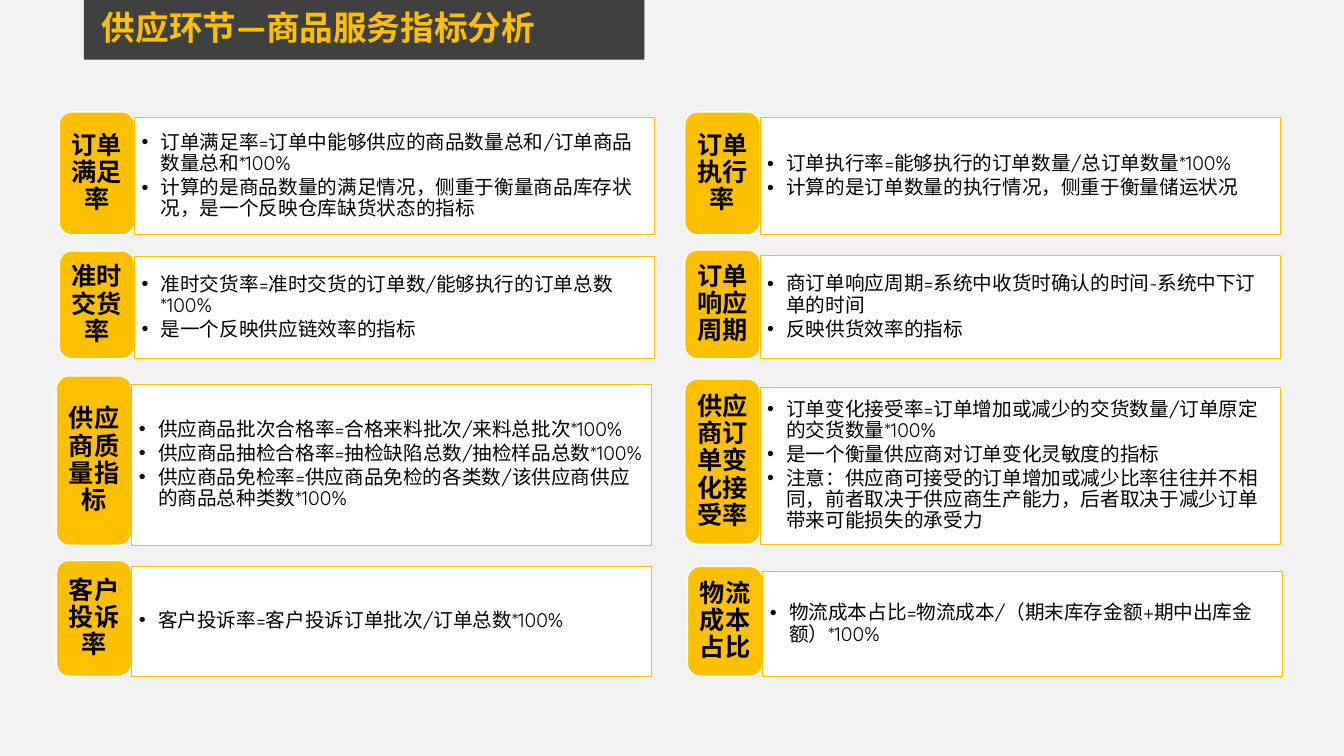
from dataclasses import dataclass
from typing import Any

from lxml import etree
from pptx import Presentation
from pptx.dml.color import RGBColor
from pptx.enum.lang import MSO_LANGUAGE_ID
from pptx.enum.shapes import MSO_SHAPE
from pptx.enum.text import MSO_ANCHOR, PP_ALIGN
from pptx.oxml.ns import qn
from pptx.util import Inches, Pt

RECT, ROUND = MSO_SHAPE.RECTANGLE, MSO_SHAPE.ROUNDED_RECTANGLE
LEFT, CENTER = PP_ALIGN.LEFT, PP_ALIGN.CENTER
TOP, MIDDLE = MSO_ANCHOR.TOP, MSO_ANCHOR.MIDDLE
CHINESE = MSO_LANGUAGE_ID.SIMPLIFIED_CHINESE

SLIDE_W, SLIDE_H = Inches(13.33), Inches(7.5)
GRID = 100  # the slide is a grid of 100 columns by 100 rows


@dataclass(frozen=True)
class Theme:
    page: str = "F2F2F2"
    banner: str = "404040"
    accent: str = "FFC000"
    paper: str = "FFFFFF"
    ink: str = "000000"
    font: str = "Quicksand"
    title_size: float = 24
    label_size: float = 18
    body_size: float = 14
    tab_line: float = 1
    panel_line: float = 0.75


@dataclass(frozen=True)
class Box:
    """A place on the grid: x and w in columns, y and h in rows."""
    x: float
    y: float
    w: float
    h: float


@dataclass(frozen=True)
class TextStyle:
    size: float
    color: str
    bold: bool
    align: Any
    anchor: Any
    inset: tuple[float, float]  # columns, rows
    after: float = 0
    bullet: bool = False


@dataclass(frozen=True)
class Card:
    x: float
    y: float
    h: float
    label: str
    points: tuple[str, ...]


THEME = Theme()
TITLE = TextStyle(THEME.title_size, THEME.accent, True, LEFT, TOP, (0.75, 0.67))
LABEL = TextStyle(THEME.label_size, THEME.ink, True, CENTER, MIDDLE, (0.53, 0.93), 6)
BODY = TextStyle(THEME.body_size, THEME.ink, False, LEFT, MIDDLE, (0.53, 0.53), 2, True)

LINE_SPACING = 0.9
BULLET_INDENT = 1.43
TAB_W, PANEL_W = 5.6, 38.7
LABEL_GAP = 0.19
PANEL_DROP = 0.05  # share of the card height

CARDS = (
    Card(4.4, 14.8, 16.27, "订单满足率", (
        "订单满足率=订单中能够供应的商品数量总和/订单商品数量总和*100%",
        "计算的是商品数量的满足情况，侧重于衡量商品库存状况，是一个反映仓库缺货状态的指标")),
    Card(50.95, 14.8, 16.27, "订单执行率", (
        "订单执行率=能够执行的订单数量/总订单数量*100%",
        "计算的是订单数量的执行情况，侧重于衡量储运状况")),
    Card(4.4, 33.2, 14.27, "准时交货率", (
        "准时交货率=准时交货的订单数/能够执行的订单总数*100%",
        "是一个反映供应链效率的指标")),
    Card(50.95, 33.07, 14.4, "订单响应周期", (
        "商订单响应周期=系统中收货时确认的时间-系统中下订单的时间",
        "反映供货效率的指标")),
    Card(4.2, 49.73, 22.4, "供应商质量指标", (
        "供应商品批次合格率=合格来料批次/来料总批次*100%",
        "供应商品抽检合格率=抽检缺陷总数/抽检样品总数*100%",
        "供应商品免检率=供应商品免检的各类数/该供应商供应的商品总种类数*100%")),
    Card(50.95, 50.13, 21.87, "供应商订单变化接受率", (
        "订单变化接受率=订单增加或减少的交货数量/订单原定的交货数量*100%",
        "是一个衡量供应商对订单变化灵敏度的指标",
        "注意：供应商可接受的订单增加或减少比率往往并不相同，"
        "前者取决于供应商生产能力，后者取决于减少订单带来可能损失的承受力")),
    Card(4.2, 74.13, 15.33, "客户投诉率", (
        "客户投诉率=客户投诉订单批次/订单总数*100%",)),
    Card(51.15, 74.93, 14.53, "物流成本占比", (
        "物流成本占比=物流成本/（期末库存金额+期中出库金额）*100%",)),
)


def cols(n: float) -> int:
    return round(SLIDE_W * n / GRID)


def rows(n: float) -> int:
    return round(SLIDE_H * n / GRID)


def place(box: Box) -> tuple[int, int, int, int]:
    return cols(box.x), rows(box.y), cols(box.w), rows(box.h)


def apply(target: Any, formats: dict[str, Any]) -> None:
    for name, value in formats.items():
        setattr(target, name, value)


def add_bullet(p: Any) -> None:
    pPr = p._p.get_or_add_pPr()
    pPr.set("marL", str(cols(BULLET_INDENT)))
    pPr.set("indent", str(-cols(BULLET_INDENT)))
    etree.SubElement(pPr, qn("a:buFont")).set("typeface", "Arial")
    etree.SubElement(pPr, qn("a:buChar")).set("char", "•")


def write(sp: Any, texts: tuple[str, ...], style: TextStyle) -> None:
    tf = sp.text_frame
    dx, dy = cols(style.inset[0]), rows(style.inset[1])
    apply(tf, {"word_wrap": True, "vertical_anchor": style.anchor,
               "margin_left": dx, "margin_right": dx,
               "margin_top": dy, "margin_bottom": dy})
    for i, text in enumerate(texts):
        p = tf.add_paragraph() if i else tf.paragraphs[0]
        apply(p, {"alignment": style.align, "line_spacing": LINE_SPACING,
                  "space_after": Pt(style.after), "level": int(style.bullet)})
        if style.bullet:
            add_bullet(p)
        r = p.add_run()
        r.text = text
        apply(r.font, {"name": THEME.font, "size": Pt(style.size),
                       "bold": style.bold, "language_id": CHINESE})
        r.font.color.rgb = RGBColor.from_string(style.color)
        etree.SubElement(r._r.get_or_add_rPr(), qn("a:ea")).set("typeface", THEME.font)


def add_block(shapes: Any, kind: Any, box: Box, fill: str,
              line: str = "", width: float = 0) -> Any:
    """Add a flat filled shape, outlined only when a line colour is given."""
    sp = shapes.add_shape(kind, *place(box))
    sp.shadow.inherit = False
    sp.fill.solid()
    sp.fill.fore_color.rgb = RGBColor.from_string(fill)
    if line:
        sp.line.color.rgb = RGBColor.from_string(line)
        sp.line.width = Pt(width)
    else:
        sp.line.fill.background()
    return sp


def add_card(shapes: Any, card: Card) -> None:
    group = shapes.add_group_shape().shapes
    drop = card.h * PANEL_DROP
    tab = Box(card.x, card.y, TAB_W, card.h)
    label = Box(card.x + LABEL_GAP, card.y + drop, TAB_W - 2 * LABEL_GAP, card.h - 2 * drop)
    panel = Box(card.x + TAB_W, card.y + drop, PANEL_W, card.h - drop)
    add_block(group, ROUND, tab, THEME.accent, THEME.paper, THEME.tab_line)
    write(group.add_textbox(*place(label)), (card.label,), LABEL)
    sp = add_block(group, RECT, panel, THEME.paper, THEME.accent, THEME.panel_line)
    write(sp, card.points, BODY)


def main() -> None:
    prs = Presentation()
    apply(prs, {"slide_width": SLIDE_W, "slide_height": SLIDE_H})
    s = prs.slides.add_slide(prs.slide_layouts[6])
    s.background.fill.solid()
    s.background.fill.fore_color.rgb = RGBColor.from_string(THEME.page)
    add_block(s.shapes, RECT, Box(6.25, 0, 41.7, 7.9), THEME.banner)
    title = s.shapes.add_textbox(*place(Box(6.83, 0.8, 36.1, 6.67)))
    write(title, ("供应环节—商品服务指标分析",), TITLE)
    for card in CARDS:
        add_card(s.shapes, card)
    prs.save("out.pptx")


if __name__ == "__main__":
    main()
